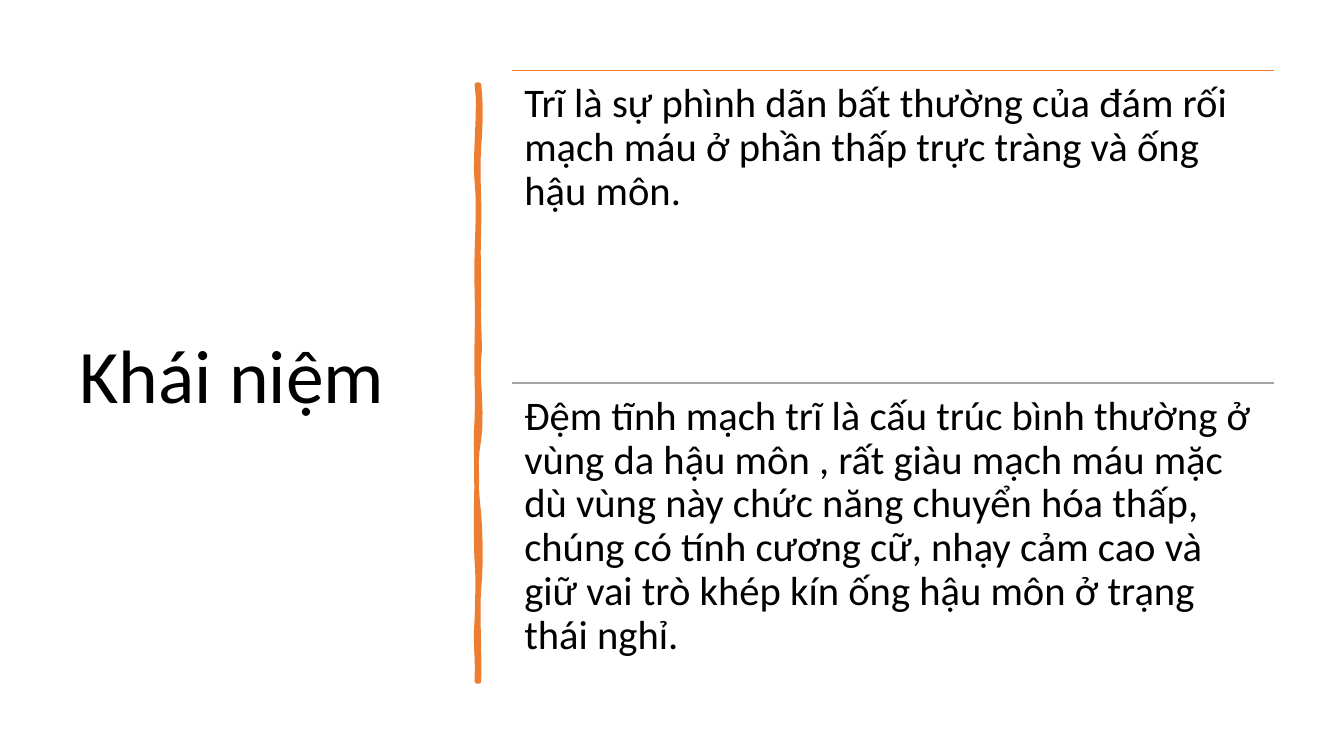
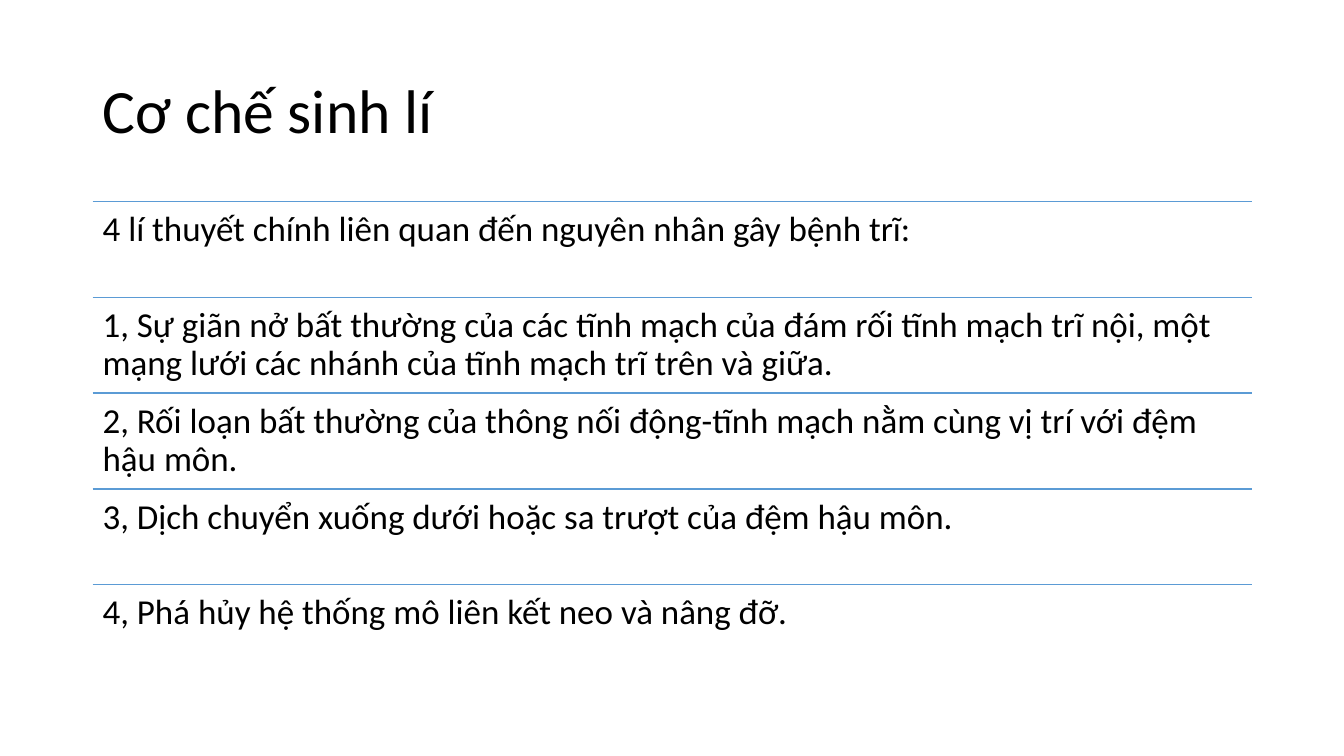
from dataclasses import dataclass

from lxml import etree
from pptx import Presentation, util as u
from pptx.dml.color import RGBColor
from pptx.enum import shapes, text
from pptx.oxml.ns import qn


@dataclass(frozen=True)
class Theme:
    font: str = "Calibri"
    ink: str = "000000"
    orange: str = "ED7D31"
    gray: str = "A5A5A5"
    blue: str = "5B9BD5"
    side_title: int = 54
    top_title: int = 44
    large_body: int = 29
    body: int = 25
    line_spacing: float = 0.9
    rule_width: float = 1
    stroke_width: float = 3.25


THEME = Theme()

# Bézier control points (x, y): down the right edge, then up the left edge.
BRUSH_START = (4.75, 0.84)
BRUSH_CURVES = [
    ((4.77, 1.02), (4.77, 1.19), (4.75, 1.46)),
    ((4.73, 1.73), (4.76, 1.95), (4.75, 2.26)),
    ((4.74, 2.57), (4.75, 2.62), (4.75, 2.94)),
    ((4.74, 3.25), (4.77, 3.42), (4.75, 3.56)),
    ((4.73, 3.7), (4.79, 4.14), (4.75, 4.36)),
    ((4.71, 4.57), (4.72, 4.84), (4.75, 5.1)),
    ((4.77, 5.36), (4.77, 5.64), (4.75, 5.84)),
    ((4.73, 6.03), (4.76, 6.5), (4.75, 6.76)),
    ((4.74, 6.76), (4.73, 6.76), (4.73, 6.76)),
    ((4.74, 6.46), (4.71, 6.44), (4.73, 6.13)),
    ((4.74, 5.83), (4.74, 5.7), (4.73, 5.57)),
    ((4.72, 5.44), (4.72, 4.95), (4.73, 4.77)),
    ((4.73, 4.59), (4.71, 4.45), (4.73, 4.15)),
    ((4.74, 3.86), (4.72, 3.73), (4.73, 3.35)),
    ((4.74, 2.98), (4.72, 2.81), (4.73, 2.5)),
    ((4.74, 2.18), (4.75, 2), (4.73, 1.81)),
    ((4.7, 1.63), (4.77, 1.04), (4.73, 0.84)),
]

DEFINITIONS = [
    "Trĩ là sự phình dãn bất thường của đám rối mạch máu ở phần thấp trực tràng "
    "và ống hậu môn.",
    "Đệm tĩnh mạch trĩ là cấu trúc bình thường ở vùng da hậu môn , rất giàu mạch "
    "máu mặc dù vùng này chức năng chuyển hóa thấp, chúng có tính cương cữ, nhạy "
    "cảm cao và giữ vai trò khép kín ống hậu môn ở trạng thái nghỉ.",
]
THEORIES = [
    "4 lí thuyết chính liên quan đến nguyên nhân gây bệnh trĩ:",
    "1, Sự giãn nở bất thường của các tĩnh mạch của đám rối tĩnh mạch trĩ nội, "
    "một mạng lưới các nhánh của tĩnh mạch trĩ trên và giữa.",
    "2, Rối loạn bất thường của thông nối động-tĩnh mạch nằm cùng vị trí với đệm "
    "hậu môn.",
    "3, Dịch chuyển xuống dưới hoặc sa trượt của đệm hậu môn.",
    "4, Phá hủy hệ thống mô liên kết neo và nâng đỡ.",
]


def sample_curves(start, curves, steps=6):
    """Turn chained cubic Bézier curves into points in EMU."""
    points = []
    for c1, c2, end in curves:
        for step in range(1, steps + 1):
            t = step / steps
            s = 1 - t
            points.append(tuple(
                u.Inches(s**3 * a + 3 * s * s * t * b + 3 * s * t * t * c + t**3 * d)
                for a, b, c, d in zip(start, c1, c2, end)
            ))
        start = end
    return points


class Deck:
    def __init__(self, theme):
        self.theme = theme
        self.prs = Presentation()
        self.prs.slide_width = u.Inches(13.33)
        self.prs.slide_height = u.Inches(7.5)
        self.slide = None

    def new_slide(self):
        self.slide = self.prs.slides.add_slide(self.prs.slide_layouts[6])

    def text(self, words, left, top, width, height, size,
             inset=(0.1, 0.05), anchor=text.MSO_ANCHOR.TOP):
        box = self.slide.shapes.add_textbox(*map(u.Inches, (left, top, width, height)))
        frame = box.text_frame
        frame.word_wrap = True
        frame.vertical_anchor = anchor
        frame.margin_left = frame.margin_right = u.Inches(inset[0])
        frame.margin_top = frame.margin_bottom = u.Inches(inset[1])
        paragraph = frame.paragraphs[0]
        paragraph.text = words
        paragraph.line_spacing = self.theme.line_spacing
        paragraph.font.name = self.theme.font
        paragraph.font.size = u.Pt(size)
        paragraph.font.color.rgb = RGBColor.from_string(self.theme.ink)

    def title(self, words, left, top, width, height, size):
        self.text(words, left, top, width, height, size, anchor=text.MSO_ANCHOR.MIDDLE)

    def rule(self, left, top, width, color):
        line = self.slide.shapes.add_connector(
            shapes.MSO_CONNECTOR.STRAIGHT,
            *map(u.Inches, (left, top, left + width, top)))
        line.line.color.rgb = RGBColor.from_string(color)
        line.line.width = u.Pt(self.theme.rule_width)
        etree.SubElement(line._element.spPr, qn("a:effectLst"))

    def ruled_rows(self, entries, left, top, width, row_height, size, inset, colors):
        """Stack equal rows of text, each under a rule; colours repeat in turn."""
        for index, words in enumerate(entries):
            row_top = top + index * row_height
            self.rule(left, row_top, width, colors[index % len(colors)])
            self.text(words, left, row_top, width, row_height, size, (inset, inset))

    def brush_stroke(self, start, curves, color):
        builder = self.slide.shapes.build_freeform(*map(u.Inches, start))
        builder.add_line_segments(sample_curves(start, curves), close=True)
        stroke = builder.convert_to_shape()
        stroke.shadow.inherit = False
        stroke.fill.solid()
        stroke.fill.fore_color.rgb = RGBColor.from_string(color)
        stroke.line.color.rgb = RGBColor.from_string(color)
        stroke.line.width = u.Pt(self.theme.stroke_width)
        etree.SubElement(stroke._element.spPr.find(qn("a:ln")), qn("a:round"))


def main():
    deck = Deck(THEME)

    deck.new_slide()
    deck.title("Khái niệm", 0.69, 0.7, 3.74, 6.11, THEME.side_title)
    deck.brush_stroke(BRUSH_START, BRUSH_CURVES, THEME.orange)
    deck.ruled_rows(DEFINITIONS, 5.08, 0.7, 7.56, 3.1, THEME.large_body, 0.12,
                    [THEME.orange, THEME.gray])

    deck.new_slide()
    deck.title("Cơ chế sinh lí", 0.92, 0.4, 11.5, 1.45, THEME.top_title)
    deck.ruled_rows(THEORIES, 0.92, 2, 11.5, 0.95, THEME.body, 0.1, [THEME.blue])

    deck.prs.save("out.pptx")


if __name__ == "__main__":
    main()
